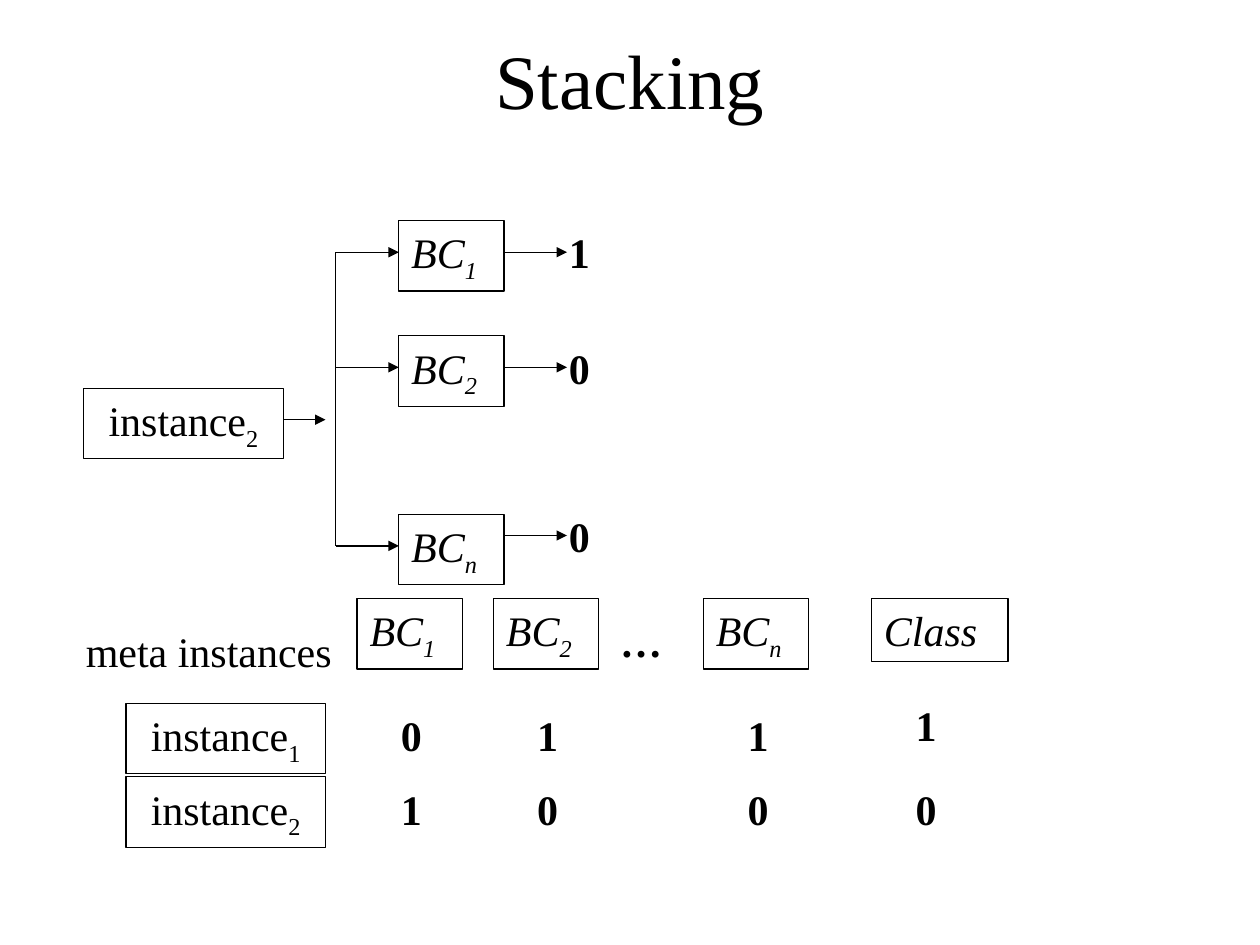
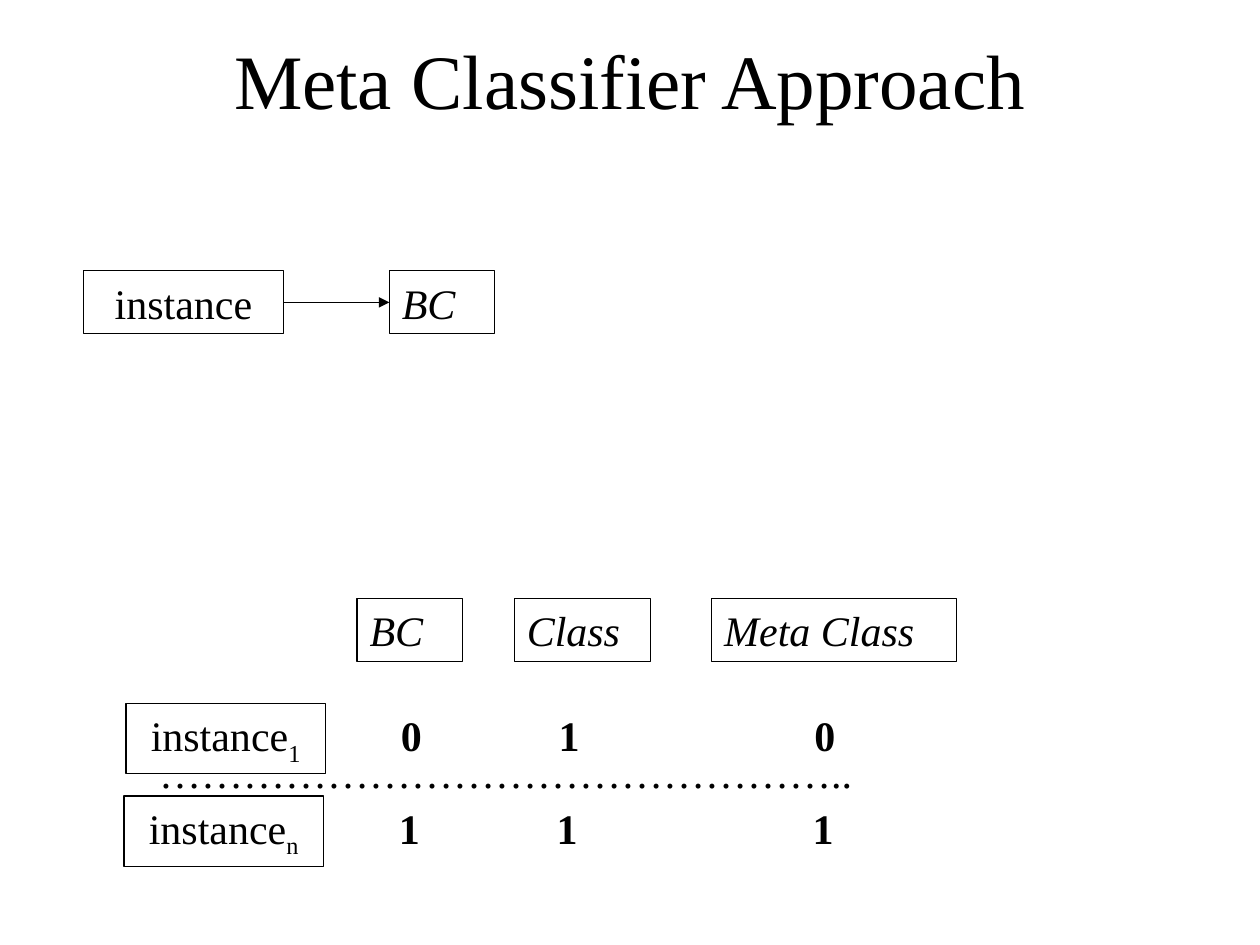
import lxml.etree
import pptx
import pptx.dml.color
import pptx.enum.shapes
import pptx.enum.text
import pptx.oxml
import pptx.oxml.ns
import pptx.util

Cm = pptx.util.Cm
Pt = pptx.util.Pt
LEFT = pptx.enum.text.PP_ALIGN.LEFT
CENTER = pptx.enum.text.PP_ALIGN.CENTER
TITLE_ONLY = 5

# Lengths are in centimetres.
INSTANCE_WIDTH = 4.02
CLASSIFIER_WIDTH = 2.12
CLASS_WIDTH = 2.75
PLAIN_HEIGHT = 1.27
SUBSCRIPT_HEIGHT = 1.42
MIDDLE = PLAIN_HEIGHT / 2
INSTANCE_LEFT = 1.69
HEADER_TOP = 12.07
FIRST_ROW_TOP = 14.18
ROW_LEFT = 2.54


def color(hex_string):
    return pptx.dml.color.RGBColor.from_string(hex_string)


class Deck:
    font_name = "Times New Roman"
    ink = "000000"
    line_width = 0.75
    title_size = 44
    body_size = 24

    def __init__(self):
        self.presentation = pptx.Presentation()
        self.presentation.slide_width = Cm(25.4)
        self.presentation.slide_height = Cm(19.05)
        self.slide = None

    def add_slide(self, title):
        layout = self.presentation.slide_layouts[TITLE_ONLY]
        self.slide = self.presentation.slides.add_slide(layout)
        shape = self.slide.shapes.title
        shape.left, shape.top = Cm(1.27), Cm(0)
        shape.width, shape.height = Cm(22.86), Cm(3.18)
        self.set_text(shape, title, CENTER, size=self.title_size)
        shape.text_frame.vertical_anchor = pptx.enum.text.MSO_ANCHOR.MIDDLE

    def set_text(self, shape, text, alignment=LEFT, size=body_size, bold=False, italic=False):
        """Fill a shape with one paragraph; what follows "_" becomes a subscript."""
        frame = shape.text_frame
        base, _, subscript = text.partition("_")
        frame.text = base
        frame.word_wrap = True
        frame.auto_size = pptx.enum.text.MSO_AUTO_SIZE.NONE
        frame.vertical_anchor = pptx.enum.text.MSO_ANCHOR.TOP
        paragraph = frame.paragraphs[0]
        paragraph.alignment = alignment
        if subscript:
            run = paragraph.add_run()
            run.text = subscript
            run._r.get_or_add_rPr().set("baseline", "-25000")
        for run in paragraph.runs:
            run.font.name = self.font_name
            run.font.size = Pt(size)
            run.font.bold = bold
            run.font.italic = italic
            run.font.color.rgb = color(self.ink)

    def style_line(self, shape):
        shape.line.color.rgb = color(self.ink)
        shape.line.width = Pt(self.line_width)

    def box(self, left, top, width, text, **style):
        """Add an outlined box, taller when its text has a subscript."""
        height = SUBSCRIPT_HEIGHT if "_" in text else PLAIN_HEIGHT
        shape = self.slide.shapes.add_shape(
            pptx.enum.shapes.MSO_SHAPE.RECTANGLE, Cm(left), Cm(top), Cm(width), Cm(height))
        shape.shadow.inherit = False
        shape.fill.background()
        self.style_line(shape)
        self.set_text(shape, text, **style)

    def instance(self, left, top, text):
        self.box(left, top, INSTANCE_WIDTH, text, alignment=CENTER)

    def header(self, left, top, text, width=CLASSIFIER_WIDTH):
        self.box(left, top, width, text, italic=True)

    def label(self, left, top, width, text, **style):
        shape = self.slide.shapes.add_textbox(Cm(left), Cm(top), Cm(width), Cm(PLAIN_HEIGHT))
        self.set_text(shape, text, **style)

    def digit(self, left, top, text):
        self.label(left, top, 0.91, text, bold=True)

    def row(self, left, top, name, offsets, digits):
        """Add an instance box and its digits, placed by offset from the box."""
        self.instance(left, top, name)
        for offset, text in zip(offsets, digits):
            self.digit(left + offset, top, text)

    def line(self, start, end, arrow=True):
        connector = self.slide.shapes.add_connector(
            pptx.enum.shapes.MSO_CONNECTOR.STRAIGHT, *map(Cm, start + end))
        self.style_line(connector)
        if arrow:
            outline = connector.line._get_or_add_ln()
            lxml.etree.SubElement(outline, pptx.oxml.ns.qn("a:tailEnd"), type="triangle")
        lxml.etree.SubElement(connector._element.spPr, pptx.oxml.ns.qn("a:effectLst"))


def add_stacking(deck):
    deck.add_slide("Stacking")
    deck.instance(INSTANCE_LEFT, 7.83, "instance_2")
    deck.line((5.71, 8.46), (6.56, 8.46))

    trunk, classifier_left = 6.77, 8.04
    classifier_right = classifier_left + CLASSIFIER_WIDTH
    deck.line((trunk, 5.08), (trunk, 11.0), arrow=False)
    for name, top, output, output_top in (
            ("BC_1", 4.45, "1", 4.45),
            ("BC_2", 6.77, "0", 6.77),
            ("BC_n", 10.37, "0", 10.16)):
        deck.header(classifier_left, top, name)
        deck.line((trunk, top + MIDDLE), (classifier_left, top + MIDDLE))
        deck.line((classifier_right, output_top + MIDDLE), (11.43, output_top + MIDDLE))
        deck.digit(11.22, output_top, output)

    deck.label(1.48, 12.49, 7.62, "meta instances")
    for left, name in ((7.2, "BC_1"), (9.95, "BC_2"), (14.18, "BC_n")):
        deck.header(left, HEADER_TOP, name)
    deck.label(12.28, 12.28, 1.48, "…", bold=True, italic=True)
    deck.header(17.57, HEADER_TOP, "Class", CLASS_WIDTH)

    offsets = (5.29, 8.04, 12.28, 15.67)
    deck.row(ROW_LEFT, FIRST_ROW_TOP, "instance_1", offsets[:3], "011")
    deck.digit(ROW_LEFT + offsets[3], 13.97, "1")
    deck.row(ROW_LEFT, 15.66, "instance_2", offsets, "1000")


def add_meta_classifier(deck):
    deck.add_slide("Meta Classifier Approach")
    top = 5.46
    deck.instance(INSTANCE_LEFT, top, "instance")
    deck.header(7.85, top, "BC")
    deck.line((5.71, top + MIDDLE), (7.85, top + MIDDLE))

    for left, name, width in (
            (7.2, "BC", CLASSIFIER_WIDTH),
            (10.37, "Class", CLASS_WIDTH),
            (14.35, "Meta Class", 4.93)):
        deck.header(left, HEADER_TOP, name, width)
    offsets = (5.29, 8.47, 13.63)
    deck.row(ROW_LEFT, FIRST_ROW_TOP, "instance_1", offsets, "010")
    deck.row(2.5, 16.05, "instance_n", offsets, "111")
    deck.label(2.96, 14.92, 20.11, "…………………………………………..")


def main():
    deck = Deck()
    add_stacking(deck)
    add_meta_classifier(deck)
    deck.presentation.save("out.pptx")


if __name__ == "__main__":
    main()
